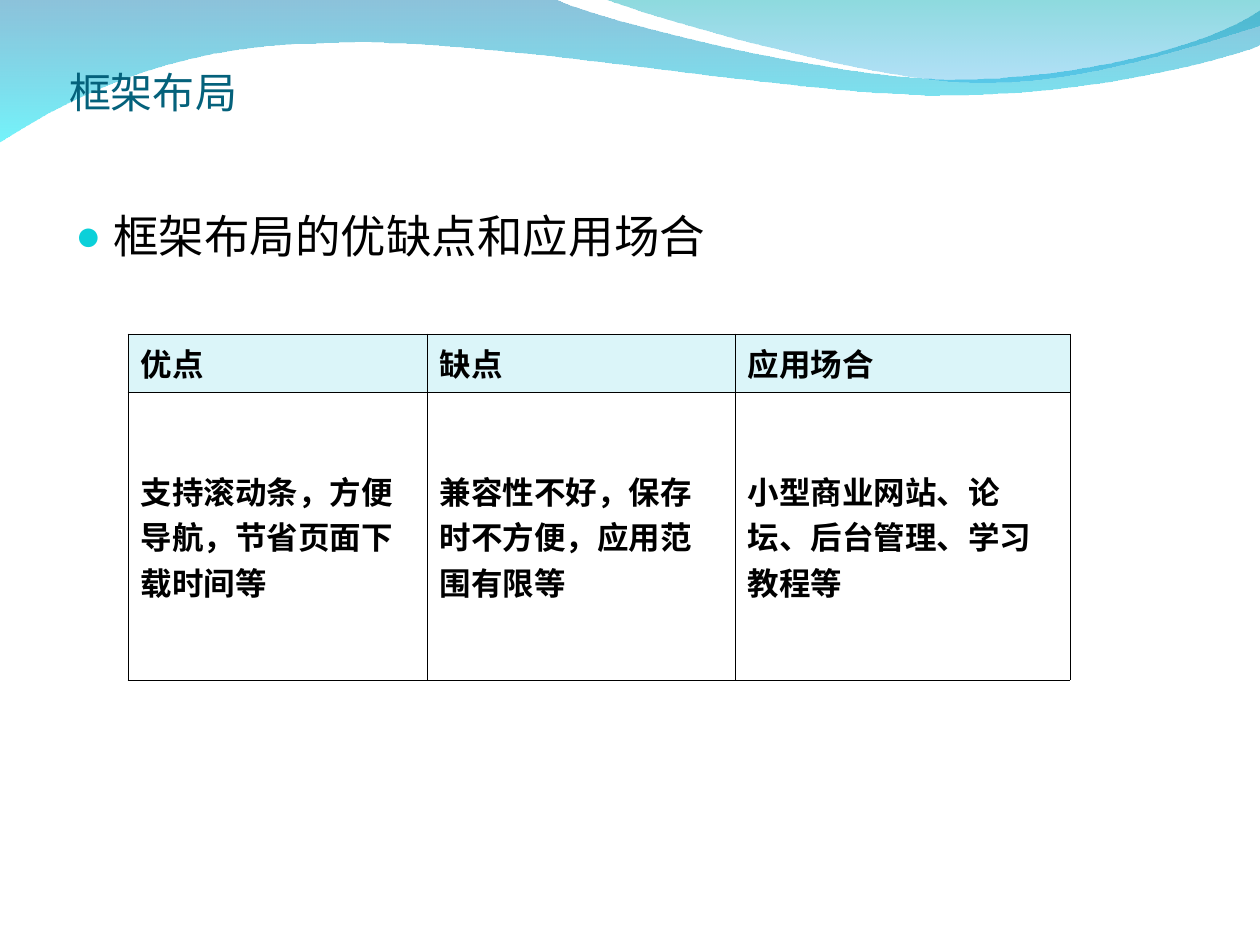
from lxml import etree
from pptx import Presentation
from pptx import util as u
from pptx.dml.color import RGBColor
from pptx.enum import text
from pptx.oxml import parse_xml
from pptx.oxml.ns import nsdecls, qn

PX = 914400 / 126
BLUE = RGBColor(0x00, 0x79, 0xAF)
CYAN = RGBColor(0x00, 0xEB, 0xF8)
TEAL = RGBColor(0x00, 0xAD, 0xB6)
SKY = RGBColor(0x00, 0x9B, 0xE5)
NAVY = RGBColor(0x04, 0x61, 0x7B)
PALE = RGBColor(0xDB, 0xF5, 0xF9)
AQUA = RGBColor(0x0B, 0xD0, 0xD9)
BLACK = RGBColor(0, 0, 0)


def px(n):
    return u.Emu(round(n * PX))


def style(par, face, size, color):
    par._p.get_or_add_pPr().set("hangingPunct", "0")
    for run in par.runs:
        font = run.font
        font.name, font.size = face, u.Pt(size)
        font.color.rgb = color


prs = Presentation()
prs.slide_width, prs.slide_height = px(1260), px(945)
slide = prs.slides.add_slide(prs.slide_layouts[5])

waves = [
    ([[(0, -1)], [(554, -1)], [(600, 21), (837, 79), (955, 79)],
      [(1075, 79), (1207, 47), (1260, 11)], [(1261, 45)],
      [(1239, 55), (1096, 96), (940, 95)], [(784, 95), (481, 35), (324, 43)],
      [(163, 44), (58, 105), (-1, 142)]], (BLUE, 45), (CYAN, 55)),
    ([[(604, -1)], [(641, 14), (859, 78), (969, 82)],
      [(1079, 87), (1211, 40), (1260, 26)], [(1260, 0)]],
     (TEAL, 45), (SKY, 30)),
]
for path, *tones in waves:
    form = slide.shapes.build_freeform(*path[0][0], scale=PX)
    for seg in path[1:]:
        form.add_line_segments(seg, close=seg is path[-1])
    wave = form.convert_to_shape()
    lines = list(wave._element.iter(qn("a:lnTo")))
    for seg in path[1:]:
        part, lines = lines[:len(seg)], lines[len(seg):]
        if len(seg) == 3:
            curve = etree.Element(qn("a:cubicBezTo"))
            part[0].addprevious(curve)
            for line in part:
                curve.append(line[0])
                line.getparent().remove(line)
    wave.shadow.inherit = False
    wave.line.fill.background()
    wave.fill.gradient()
    wave.fill.gradient_angle = 270
    for stop, (color, _) in zip(wave.fill.gradient_stops, tones):
        stop.color.rgb = color
    for node, (_, alpha) in zip(wave._element.iter(qn("a:srgbClr")), tones):
        etree.SubElement(node, qn("a:alpha"), val=str(alpha * 1000))

title = slide.shapes.title
slide.shapes._spTree.append(title._element)
title.left, title.top, title.width, title.height = px(69), px(0), px(1134), px(117)
frame = title.text_frame
frame.text = "框架布局"
frame.vertical_anchor = text.MSO_ANCHOR.BOTTOM
frame.margin_left = frame.margin_right = frame.margin_bottom = 0
frame.paragraphs[0].alignment = text.PP_ALIGN.LEFT
style(frame.paragraphs[0], "Calibri", 24, NAVY)

body = slide.shapes.add_textbox(px(63), px(202), px(1043), px(570)).text_frame
body.word_wrap = True
body.text = "框架布局的优缺点和应用场合"
par = body.paragraphs[0]
par.space_before = u.Pt(6.5)
style(par, "Cambria", 26, BLACK)
prop = par._p.get_or_add_pPr()
prop.set("marL", str(px(38)))
prop.set("indent", str(px(-38)))
color = etree.SubElement(prop, qn("a:buClr"))
etree.SubElement(color, qn("a:srgbClr"), val=str(AQUA))
etree.SubElement(prop, qn("a:buSzPct"), val="95000")
etree.SubElement(prop, qn("a:buFont"), typeface="Arial")
etree.SubElement(prop, qn("a:buChar"), char="●")

rows = [
    ["优点", "缺点", "应用场合"],
    ["支持滚动条，方便导航，节省页面下载时间等",
     "兼容性不好，保存时不方便，应用范围有限等",
     "小型商业网站、论坛、后台管理、学习教程等"],
]
faces = [["Noto Sans CJK SC"] * 3, ["Arial", "Noto Sans CJK SC", "Arial"]]
grid = slide.shapes.add_table(2, 3, px(128), px(334), px(942), px(346)).table
grid.first_row = grid.horz_banding = False
for col, wide in zip(grid.columns, (299, 308, 335)):
    col.width = px(wide)
for row, high in zip(grid.rows, (58, 288)):
    row.height = px(high)
for r, row in enumerate(rows):
    for c, words in enumerate(row):
        cell = grid.cell(r, c)
        cell.text = words
        par = cell.text_frame.paragraphs[0]
        par.space_before = u.Pt(4.5)
        style(par, faces[r][c], 18, BLACK)
        par.runs[0].font.bold = True
        if r == 0:
            cell.fill.solid()
            cell.fill.fore_color.rgb = PALE
        else:
            cell.fill.background()
            cell.vertical_anchor = text.MSO_ANCHOR.MIDDLE
        prop = cell._tc.get_or_add_tcPr()
        for i, side in enumerate("LRTB"):
            prop.insert(i, parse_xml(
                f'<a:ln{side} {nsdecls("a")} w="5715"><a:solidFill>'
                f'<a:srgbClr val="{BLACK}"/></a:solidFill></a:ln{side}>'))

prs.save("out.pptx")
